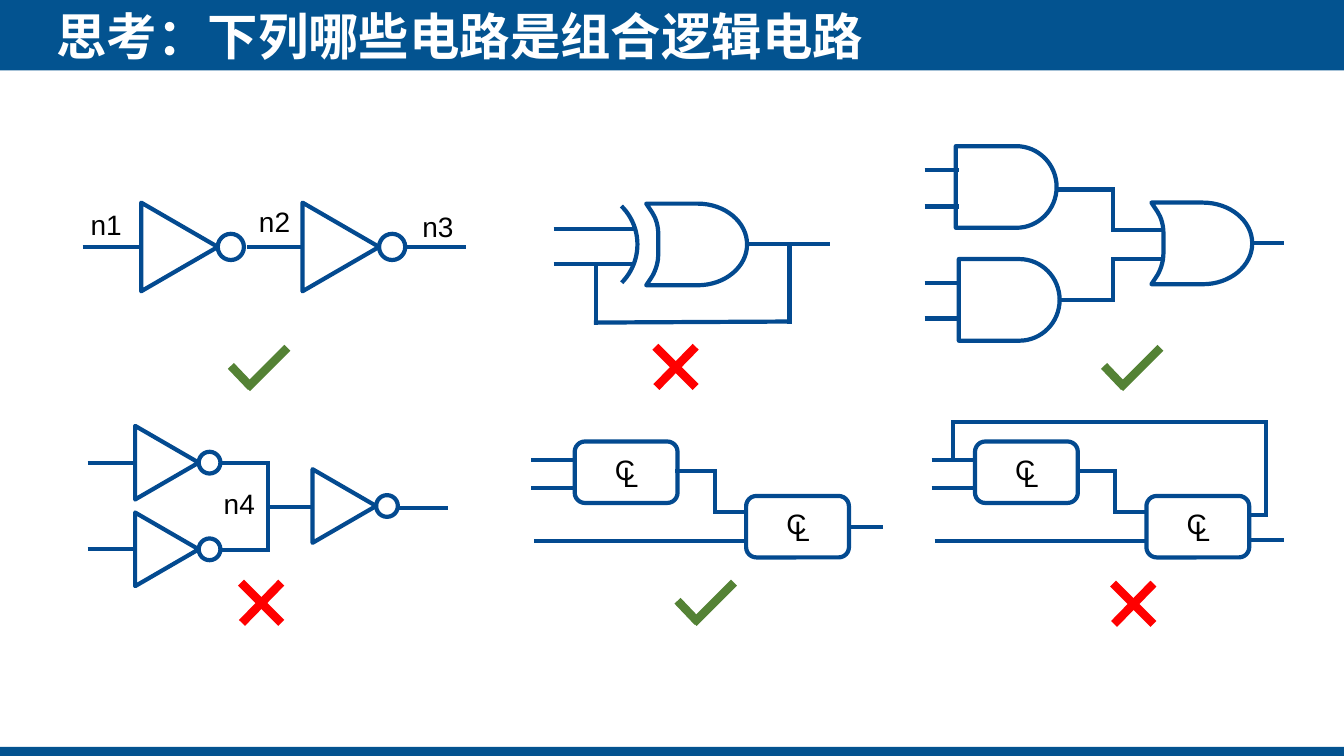
from itertools import pairwise

from lxml.etree import SubElement
from pptx import Presentation
from pptx.dml.color import RGBColor
from pptx.enum.shapes import MSO_CONNECTOR, MSO_SHAPE
from pptx.enum.text import MSO_ANCHOR
from pptx.oxml.ns import qn
from pptx.util import Inches, Pt

BAR, WIRE, YES, NO = "035390", "034A90", "548235", "FF0000"
GATE_W, GATE_H = 1.0, 0.81


def rgb(value):
    return RGBColor.from_string(value)


class Circuits:
    def __init__(self, slide):
        self.slide = slide
        self.shapes = slide.shapes

    def group(self):
        """Put the elements that follow into a new group."""
        self.shapes = self.slide.shapes.add_group_shape().shapes

    def outline(self, sp):
        sp.shadow.inherit = False
        sp.fill.background()
        sp.line.color.rgb = rgb(WIRE)
        sp.line.width = Pt(3)

    def shape(self, kind, x, y, w, h, rotation=0):
        sp = self.shapes.add_shape(kind, Inches(x), Inches(y), Inches(w), Inches(h))
        sp.rotation = rotation
        self.outline(sp)
        return sp

    def bar(self, y, h):
        sp = self.shape(MSO_SHAPE.RECTANGLE, 0, y, 13.33, h)
        sp.fill.solid()
        sp.fill.fore_color.rgb = rgb(BAR)
        sp.line.fill.background()

    def text(self, text, x, y, w, h, size=20, font="Arial", color="000000", wrap=True):
        sp = self.shapes.add_textbox(Inches(x), Inches(y), Inches(w), Inches(h))
        tf = sp.text_frame
        tf.word_wrap = wrap
        p = tf.paragraphs[0]
        p.text = text
        p.font.size = Pt(size)
        p.font.name = font
        p.font.color.rgb = rgb(color)
        return tf

    def title(self, text):
        font = "Noto Sans CJK SC"
        tf = self.text(text, 0.56, 0.05, 8.57, 0.61, 36, font, "FFFFFF")
        tf.vertical_anchor = MSO_ANCHOR.MIDDLE
        tf.margin_left = tf.margin_right = tf.margin_top = tf.margin_bottom = 0
        p = tf.paragraphs[0]
        p.font.bold = True
        props = p._p.pPr.find(qn("a:defRPr"))
        SubElement(props, qn("a:ea")).set("typeface", font)

    def node(self, name, x, y):
        self.text(name, x, y, 0.51, 0.44, wrap=False)

    def line(self, start, end, color, width):
        s = self.shapes.add_connector(MSO_CONNECTOR.STRAIGHT,
                                      *(Inches(v) for v in (*start, *end)))
        s.line.color.rgb = rgb(color)
        s.line.width = Pt(width)
        SubElement(s._element.spPr, qn("a:effectLst"))
        return s

    def wire(self, *points):
        """Straight pieces through the points, with square corners."""
        for start, end in pairwise(points):
            s = self.line(start, end, WIRE, 3)
            if len(points) > 2:
                s.line._get_or_add_ln().set("cap", "sq")

    def level_wires(self, x1, x2, *heights):
        for y in heights:
            self.wire((x1, y), (x2, y))

    def check(self, x, y):
        self.group()
        self.line((x, y + 0.18), (x + 0.2, y + 0.39), YES, 6)
        self.line((x + 0.16, y + 0.4), (x + 0.56, y), YES, 6)

    def cross(self, x, y):
        self.group()
        self.line((x, y), (x + 0.4, y + 0.4), NO, 6)
        self.line((x + 0.4, y), (x + 0.01, y + 0.4), NO, 6)

    def inverter(self, x, y, scale=1.0):
        """Triangle with its left edge at x, centred on y, and its bubble."""
        base, length, bubble = (v * scale for v in (0.88, 0.76, 0.26))
        self.shape(MSO_SHAPE.ISOSCELES_TRIANGLE, x + (length - base) / 2,
                   y - length / 2, base, length, 90)
        self.shape(MSO_SHAPE.OVAL, x + length, y - bubble / 2, bubble, bubble)

    def curved_outline(self, x, y, segments):
        """Closed outline from x, y; a segment is one point, or three for a cubic curve."""
        builder = self.shapes.build_freeform(Inches(x), Inches(y))
        builder.add_line_segments([(Inches(x + px), Inches(y + py))
                                   for segment in segments for px, py in segment])
        sp = builder.convert_to_shape()
        steps = iter(list(sp._element.iter(qn("a:lnTo"))))
        for segment in segments:
            first, *others = [next(steps) for _ in segment]
            if others:
                first.tag = qn("a:cubicBezTo")
                for step in others:
                    first.append(step[0])
                    step.getparent().remove(step)
        self.outline(sp)

    def gate(self, x, y, shoulder, back=()):
        """Flat top and bottom up to the shoulder, then a round nose."""
        w, h = GATE_W, GATE_H
        bend = shoulder + 0.55 * (w - shoulder)
        self.curved_outline(x, y, [
            [(shoulder, 0)],
            [(bend, 0), (w, 0.18), (w, h / 2)],
            [(w, h - 0.18), (bend, h), (shoulder, h)],
            [(0, h)], *back])

    def and_gate(self, x, y):
        self.gate(x, y, 0.6)

    def or_gate(self, x, y):
        self.gate(x, y, 0.51, [
            [(0.06, 0.72)],
            [(0.1, 0.65), (0.12, 0.57), (0.12, 0.5)],
            [(0.12, 0.31)],
            [(0.12, 0.23), (0.1, 0.15), (0.06, 0.09)]])

    def logic_block(self, x, y):
        self.shape(MSO_SHAPE.ROUNDED_RECTANGLE, x, y, 1.02, 0.61)
        self.text("C", x + 0.3, y + 0.06, 0.25, 0.34)
        self.text("L", x + 0.38, y + 0.13, 0.3, 0.44)

    def block_pair(self, x):
        """Two logic blocks in a row, the first at x, with their inputs."""
        self.group()
        self.logic_block(x, 4.38)
        self.logic_block(x + 1.7, 4.92)
        self.level_wires(x - 0.43, x - 0.02, 4.56, 4.84)
        self.wire((x + 1.02, 4.67), (x + 1.39, 4.67), (x + 1.39, 5.08), (x + 1.7, 5.08))
        self.level_wires(x - 0.4, x + 1.69, 5.37)


def main():
    prs = Presentation()
    prs.slide_width, prs.slide_height = Inches(13.33), Inches(7.5)
    s = Circuits(prs.slides.add_slide(prs.slide_layouts[6]))
    s.bar(-0.03, 0.73)
    s.bar(7.41, 0.1)
    s.title("思考：下列哪些电路是组合逻辑电路")

    # Inverter chain
    s.group()
    for x in (1.4, 3):
        s.inverter(x, 2.45)
    for x1, x2 in ((0.82, 1.4), (2.45, 3), (4.03, 4.62)):
        s.level_wires(x1, x2, 2.45)
    for name, x, y in (("n1", 0.8, 2.01), ("n2", 2.47, 1.98), ("n3", 4.09, 2.03)):
        s.node(name, x, y)
    s.check(2.29, 3.45)

    # XOR gate with feedback
    s.group()
    s.or_gate(6.41, 2.02)
    s.shape(MSO_SHAPE.ARC, 5.25, 1.89, 1.07, 1.08, 44.5)
    s.level_wires(5.49, 6.3, 2.27, 2.62)
    s.level_wires(7.42, 8.23, 2.42)
    s.wire((7.83, 2.43), (7.83, 3.19), (5.91, 3.2), (5.91, 2.63))
    s.cross(6.5, 3.44)

    # Two AND gates into an OR gate
    s.group()
    s.or_gate(11.42, 2.01)
    s.and_gate(9.48, 1.45)
    s.and_gate(9.51, 2.57)
    s.wire((10.51, 1.88), (11.04, 1.88), (11.04, 2.28), (11.5, 2.28))
    s.wire((10.51, 2.98), (11.04, 2.98), (11.04, 2.57), (11.51, 2.57))
    s.level_wires(9.17, 9.51, 1.69, 2.05, 2.81, 3.16)
    s.level_wires(12.43, 12.73, 2.41)
    s.check(10.95, 3.45)

    # Two inverters driving one node
    s.group()
    for x, y in ((1.34, 4.59), (3.1, 5.02), (1.34, 5.45)):
        s.inverter(x, y, 0.83)
    s.level_wires(0.87, 1.34, 4.59, 5.45)
    s.wire((2.2, 4.59), (2.66, 4.59), (2.66, 5.46), (2.2, 5.46))
    s.level_wires(2.66, 3.1, 5.03)
    s.level_wires(3.95, 4.44, 5.04)
    s.node("n4", 2.12, 4.78)
    s.cross(2.39, 5.78)

    # Logic blocks in a row
    s.block_pair(5.7)
    s.level_wires(8.42, 8.76, 5.23)
    s.check(6.72, 5.78)

    # Logic blocks with feedback
    s.block_pair(9.67)
    s.level_wires(12.4, 12.74, 5.36)
    s.wire((12.39, 5.11), (12.56, 5.11), (12.56, 4.19), (9.45, 4.19), (9.45, 4.56))
    s.cross(11.04, 5.79)

    prs.save("out.pptx")


if __name__ == "__main__":
    main()
